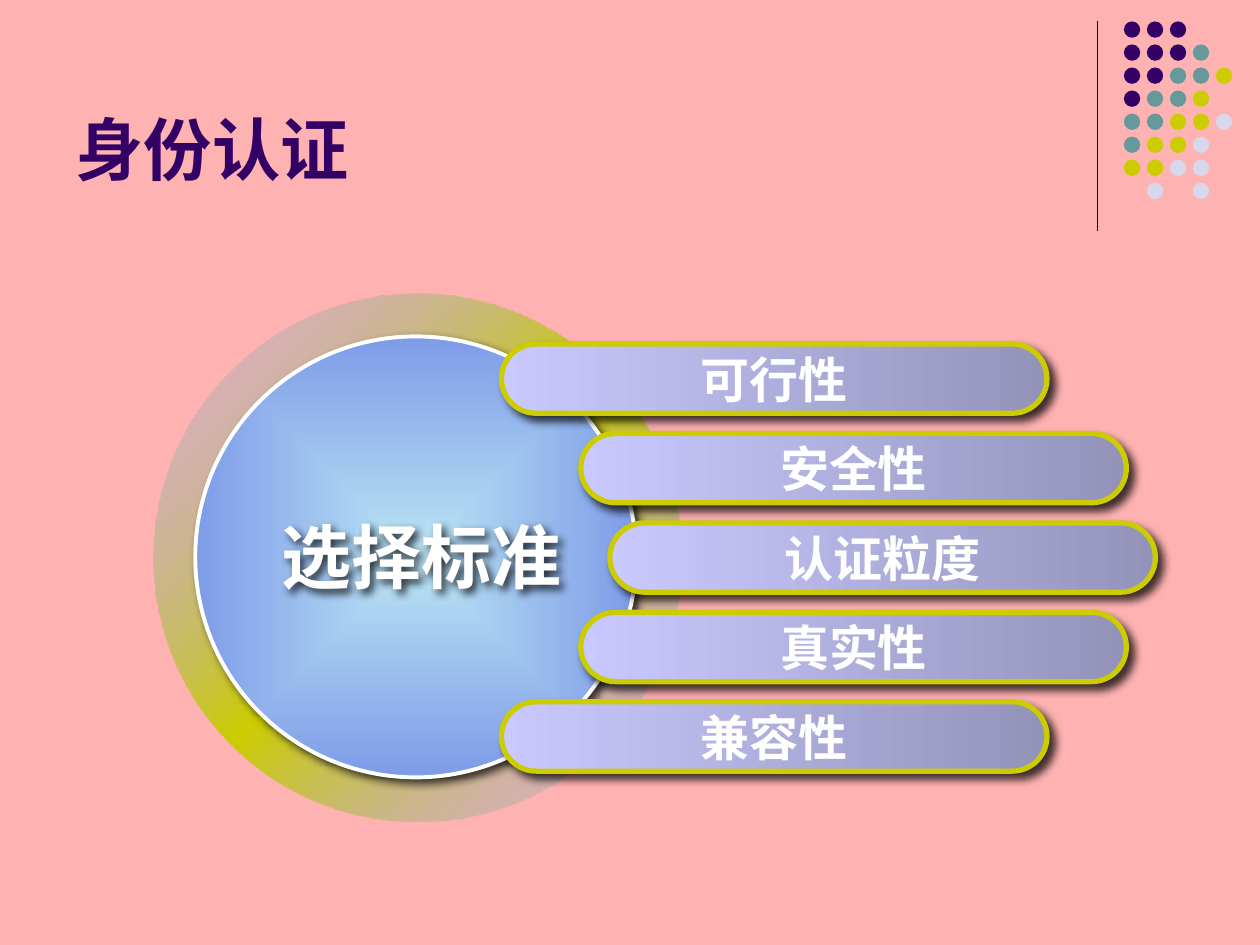
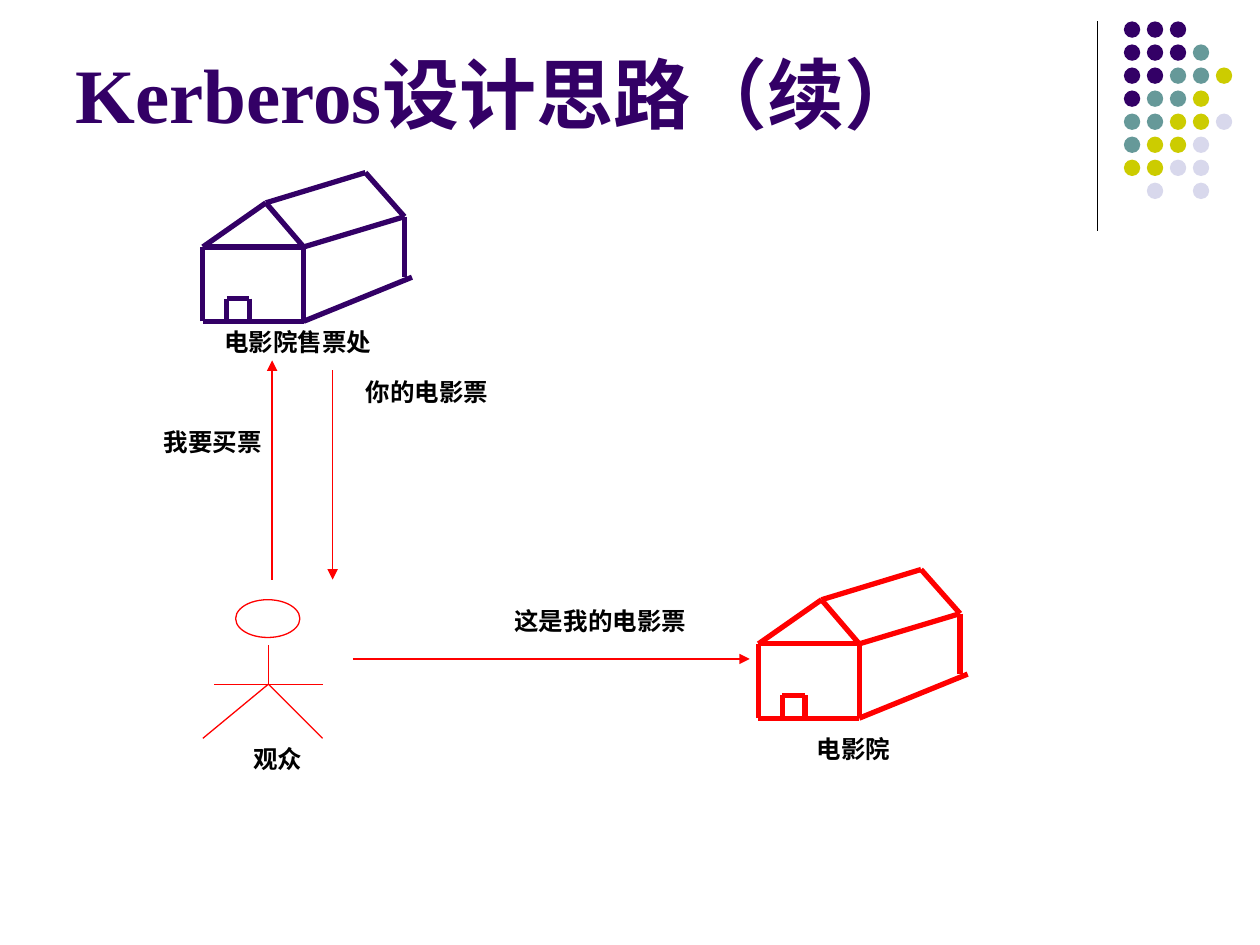
from dataclasses import dataclass
from pptx import Presentation
from pptx.dml.color import RGBColor as RGB
from pptx.enum.shapes import MSO_CONNECTOR as LINK, MSO_SHAPE as SHAPE
from pptx.enum.text import MSO_ANCHOR as ANCHOR, MSO_AUTO_SIZE as FIT, PP_ALIGN as ALIGN
from pptx.oxml import parse_xml
from pptx.oxml.ns import nsdecls, qn
from pptx.util import Inches, Pt


@dataclass(frozen=True)
class Theme:
    sans: str = "Arial"
    serif: str = "Times New Roman"
    purple: str = "330066"
    teal: str = "669999"
    lime: str = "CCCC00"
    pale: str = "D8D8EC"
    white: str = "FFFFFF"
    black: str = "000000"
    red: str = "FF0000"
    pink: str = "FFB2B2"
    hub: tuple = ((0, "BBE5F4", 100), (100, "7E9CE8", 100))
    ring: tuple = ((0, "83A2FF", 12), (50, "CCCC00", 100), (100, "83A2FF", 12))
    pill: tuple = ((0, "C9C9FF", 100), (100, "9393BA", 100))
    head: int = 39
    large: int = 44
    core: int = 40
    item: int = 28
    note: int = 14
    thin: float = 0.75
    mid: float = 2.25
    thick: float = 3


T = Theme()
DOTS = ("ppp", "pppt", "pptty", "ptty", "ttyyl", "tyyl", "yyll", " l l")
INKS = {"p": T.purple, "t": T.teal, "y": T.lime, "l": T.pale}
ITEMS = (("可行性", 3.98), ("安全性", 4.61), ("认证粒度", 4.84),
         ("真实性", 4.61), ("兼容性", 3.98))
HOUSE = (
    ((0.8, 0.59), (0.5, 0.24), (0, 0.59), (0.8, 0.59),
     (0.8, 1.18), (0, 1.18), (0, 0.59)),
    ((0.5, 0.24), (1.29, 0), (1.6, 0.35), (0.8, 0.59)),
    ((1.6, 0.35), (1.6, 0.83)),
    ((0.8, 1.18), (1.66, 0.83)),
    ((0.19, 1.18), (0.19, 1), (0.37, 1), (0.37, 1.18)),
)
BODY = (
    ((0.52, 0.36), (0.52, 0.67), (0, 1.1)),
    ((0.52, 0.67), (0.95, 1.1)),
    ((0.09, 0.67), (0.95, 0.67)),
)
NOTES = (
    ("电影院", 5.79, 5.78, 1.97), ("我要买票", 1.06, 3.34, 1.26),
    ("你的电影票", 2.64, 2.94, 1.5), ("这是我的电影票", 3.82, 4.76, 1.89),
    ("电影院售票处", 1.38, 2.55, 1.97), ("观众", 1.22, 5.86, 1.97),
)
ARROWS = (((2.16, 4.6), (2.16, 2.86)), ((2.64, 2.94), (2.64, 4.6)),
          ((2.8, 5.23), (5.95, 5.23)))


def write(frame, text, font, size, color, align=ALIGN.CENTER):
    para = frame.paragraphs[0]
    para.alignment = align
    run = para.add_run()
    run.text = text
    run.font.name = font
    run.font.size = Pt(size)
    run.font.bold = True
    run.font.color.rgb = RGB.from_string(color)


def add_shape(shapes, kind, box, fill=None, line=None, width=T.thin):
    shape = shapes.add_shape(kind, *map(Inches, box))
    shape.shadow.inherit = False
    if fill:
        shape.fill.solid()
        shape.fill.fore_color.rgb = RGB.from_string(fill)
    else:
        shape.fill.background()
    if line:
        shape.line.color.rgb = RGB.from_string(line)
        shape.line.width = Pt(width)
    else:
        shape.line.fill.background()
    return shape


def blend(shape, stops, shade):
    marks = "".join(
        f'<a:gs pos="{pos * 1000}"><a:srgbClr val="{color}">'
        f'<a:alpha val="{alpha * 1000}"/></a:srgbClr></a:gs>'
        for pos, color, alpha in stops)
    props = shape.element.spPr
    props.replace(props.find(qn("a:noFill")), parse_xml(
        f'<a:gradFill {nsdecls("a")} rotWithShape="1">'
        f'<a:gsLst>{marks}</a:gsLst>{shade}</a:gradFill>'))


def slant(angle):
    return f'<a:lin ang="{angle * 60000}" scaled="0"/>'


def cast(shape, dist):
    shape.shadow.inherit = False
    shape.element.spPr.find(qn("a:effectLst")).append(parse_xml(
        f'<a:outerShdw {nsdecls("a")} blurRad="{Pt(5)}" dist="{Pt(dist)}" '
        'dir="2700000" algn="ctr" rotWithShape="0"><a:srgbClr val="000000">'
        '<a:alpha val="75000"/></a:srgbClr></a:outerShdw>'))


def add_line(shapes, start, end, color, width=T.thin, arrow=False):
    line = shapes.add_connector(LINK.STRAIGHT, *map(Inches, (*start, *end)))
    line.line.color.rgb = RGB.from_string(color)
    line.line.width = Pt(width)
    props = line.element.spPr
    if arrow:
        props.find(qn("a:ln")).append(
            parse_xml(f'<a:tailEnd {nsdecls("a")} type="triangle"/>'))
    props.append(parse_xml(f'<a:effectLst {nsdecls("a")}/>'))
    return line


def add_paths(shapes, paths, left, top, color, width):
    for path in paths:
        spots = [(left + x, top + y) for x, y in path]
        for start, end in zip(spots, spots[1:]):
            add_line(shapes, start, end, color, width)


def add_text(shapes, box, text, font, size, color):
    label = shapes.add_textbox(*map(Inches, box))
    frame = label.text_frame
    frame.word_wrap = True
    frame.vertical_anchor = ANCHOR.MIDDLE
    write(frame, text, font, size, color)
    return label


def add_slide(prs, back, text, font, size, height):
    slide = prs.slides.add_slide(prs.slide_layouts[5])
    slide.background.fill.solid()
    slide.background.fill.fore_color.rgb = RGB.from_string(back)
    title = slide.shapes.title
    title.left, title.top, title.width, title.height = map(
        Inches, (0.5, 0.13, 8.25, height))
    frame = title.text_frame
    frame.auto_size = FIT.NONE
    frame.vertical_anchor = ANCHOR.BOTTOM
    write(frame, text, font, size, T.purple, ALIGN.LEFT)
    return slide


def add_band(prs, slide):
    rule = add_line(slide.shapes, (8.71, 0.17), (8.71, 1.83), T.black)
    group = slide.shapes.add_group_shape()
    for row, line in enumerate(DOTS):
        for col, key in enumerate(line):
            if key in INKS:
                box = (8.92 + 0.73 * col / 4, 0.17 + 1.28 * row / 7, 0.13, 0.13)
                add_shape(group.shapes, SHAPE.OVAL, box, INKS[key])
    for part in (rule, group):
        prs.slide_master.shapes.element.append(part.element)


def add_hub(shapes):
    group = shapes.add_group_shape().shapes
    ring = add_shape(group, SHAPE.DONUT, (1.22, 2.33, 4.19, 4.19))
    ring.adjustments[0] = 0.09
    blend(ring, T.ring, slant(45))
    disc = add_shape(group, SHAPE.OVAL, (1.55, 2.67, 3.5, 3.5),
                     line=T.white, width=T.mid)
    blend(disc, T.hub, '<a:path path="shape"><a:fillToRect l="50000" '
          't="50000" r="50000" b="50000"/></a:path>')
    cast(disc, 3)
    label = add_text(shapes, (1.69, 3.96, 3.31, 0.9), "选择标准",
                     T.sans, T.core, T.white)
    cast(label, 3)


def add_pill(shapes, text, left, top):
    pill = add_shape(shapes, SHAPE.ROUNDED_RECTANGLE, (left, top, 4.33, 0.55),
                     line=T.lime, width=T.thick)
    pill.adjustments[0] = 0.5
    blend(pill, T.pill, slant(0))
    cast(pill, 4.2)
    frame = pill.text_frame
    frame.word_wrap = False
    frame.vertical_anchor = ANCHOR.MIDDLE
    write(frame, text, T.sans, T.item, T.white)


def add_house(shapes, left, top, color):
    group = shapes.add_group_shape()
    add_paths(group.shapes, HOUSE, left, top, color, T.thick)


def add_viewer(shapes, left, top):
    group = shapes.add_group_shape().shapes
    add_shape(group, SHAPE.OVAL, (left + 0.26, top, 0.51, 0.3), line=T.red)
    add_paths(group, BODY, left, top, T.red, T.thin)


def main():
    prs = Presentation()
    prs.slide_width, prs.slide_height = Inches(10), Inches(7.5)

    slide = add_slide(prs, T.pink, "身份认证", T.sans, T.head, 1.42)
    add_band(prs, slide)
    add_hub(slide.shapes)
    for row, (text, left) in enumerate(ITEMS):
        add_pill(slide.shapes, text, left, 2.73 + 0.71 * row)

    slide = add_slide(prs, T.white, "Kerberos设计思路（续）", T.serif, T.large, 1.02)
    add_house(slide.shapes, 6.02, 4.52, T.red)
    add_house(slide.shapes, 1.61, 1.37, T.purple)
    add_viewer(slide.shapes, 1.61, 4.76)
    for start, end in ARROWS:
        add_line(slide.shapes, start, end, T.red, arrow=True)
    for text, left, top, width in NOTES:
        add_text(slide.shapes, (left, top, width, 0.33), text,
                 T.serif, T.note, T.black)

    prs.save("out.pptx")


if __name__ == "__main__":
    main()
